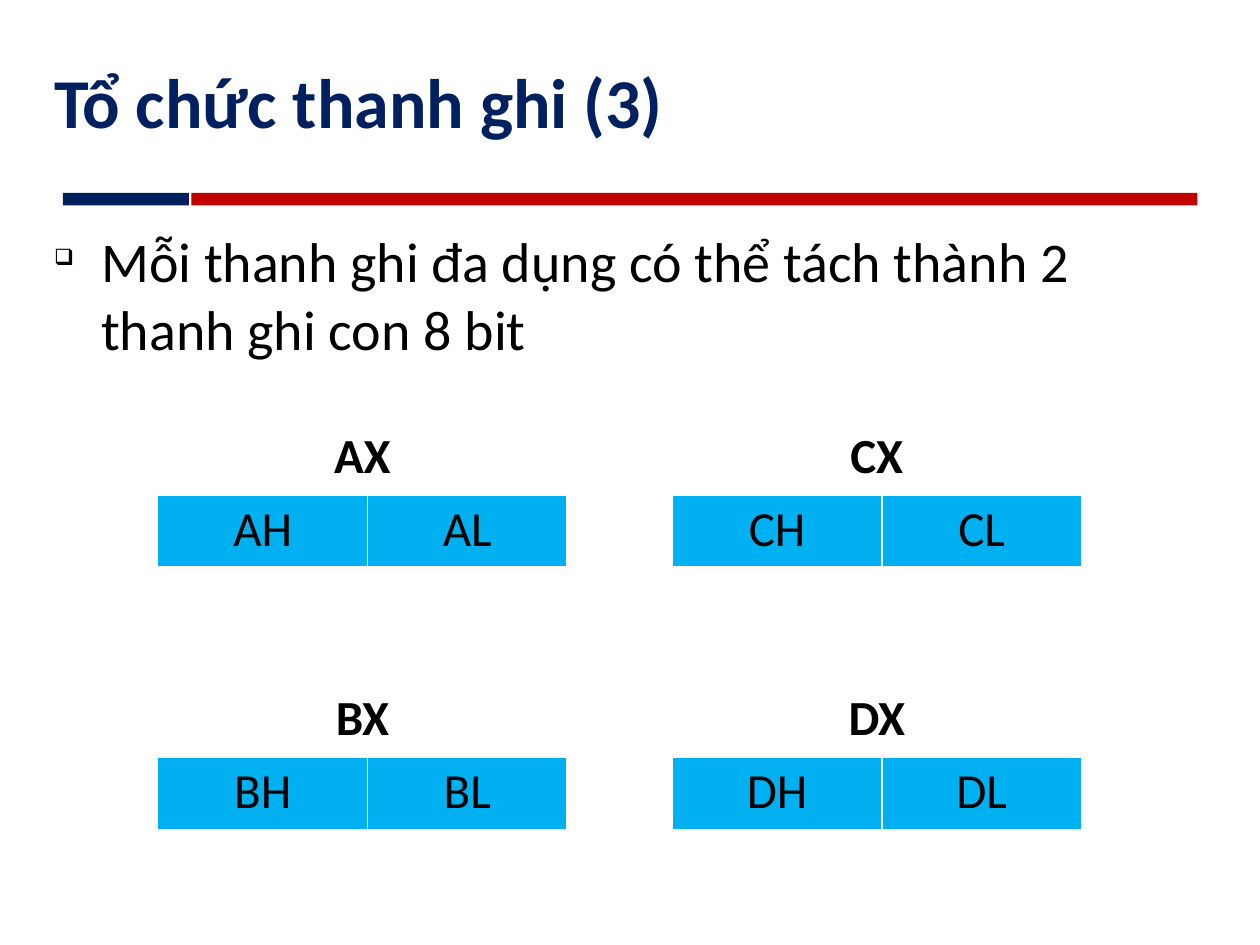
import lxml.etree
import pptx
import pptx.dml.color
import pptx.enum.shapes
import pptx.enum.text
import pptx.oxml.ns
import pptx.util

Cm = pptx.util.Cm
Pt = pptx.util.Pt
qn = pptx.oxml.ns.qn
ALIGN = pptx.enum.text.PP_ALIGN
ANCHOR = pptx.enum.text.MSO_ANCHOR

NAVY, RED, BLUE = "002060", "C00000", "00B0F0"
BLACK, WHITE = "000000", "FFFFFF"


def paint(color, value):
    """Set a fill or font colour from a hex string."""
    color.rgb = pptx.dml.color.RGBColor.from_string(value)


def write(frame, text, size, color=BLACK, bold=False,
          align=ALIGN.LEFT, anchor=ANCHOR.TOP):
    """Put one formatted paragraph in a text frame."""
    frame.word_wrap = True
    frame.vertical_anchor = anchor
    para = frame.paragraphs[0]
    para.alignment = align
    run = para.add_run()
    run.text = text
    run.font.name = "Calibri"
    run.font.size = Pt(size)
    run.font.bold = bold
    paint(run.font.color, color)
    return para


def add_text(slide, box, text, **style):
    frame = slide.shapes.add_textbox(*map(Cm, box)).text_frame
    return write(frame, text, **style)


def add_bar(slide, box, color):
    rect = pptx.enum.shapes.MSO_SHAPE.RECTANGLE
    bar = slide.shapes.add_shape(rect, *map(Cm, box))
    bar.shadow.inherit = False
    bar.fill.solid()
    paint(bar.fill.fore_color, color)
    bar.line.fill.background()


def add_head(slide, box, text):
    """Title with a two-colour rule below it."""
    left, top, wide, high = box
    add_text(slide, box, text, size=40, color=NAVY, bold=True,
             anchor=ANCHOR.MIDDLE)
    rule = top + high + 0.28
    add_bar(slide, (left + 0.43, rule, 2.54, 0.25), NAVY)
    add_bar(slide, (left + 3.02, rule, wide - 3.43, 0.25), RED)


def add_body(slide, box, text):
    """Bulleted text with a hanging indent."""
    para = add_text(slide, box, text, size=32)
    props = para._p.get_or_add_pPr()
    props.set("marL", str(Cm(0.95)))
    props.set("indent", str(-Cm(0.95)))
    lxml.etree.SubElement(props, qn("a:buSzPct")).set("val", "40000")
    lxml.etree.SubElement(props, qn("a:buChar")).set("char", "❑")


def edge(cell, low=1):
    """White borders, the bottom one of the given width in points."""
    props = cell._tc.get_or_add_tcPr()
    for spot, side in enumerate("LRTB"):
        line = lxml.etree.Element(qn("a:ln" + side))
        line.set("w", str(Pt(low if side == "B" else 1)))
        fill = lxml.etree.SubElement(line, qn("a:solidFill"))
        lxml.etree.SubElement(fill, qn("a:srgbClr")).set("val", WHITE)
        props.insert(spot, line)


def add_pair(slide, box, name):
    """Register table: full name above its high and low halves."""
    left, top, wide, high = box
    table = slide.shapes.add_table(2, 2, *map(Cm, box)).table
    table.first_row = table.horz_banding = False
    table.columns[0].width = Cm(4.23)
    table.columns[1].width = Cm(wide - 4.23)
    for row in table.rows:
        row.height = Cm(high / 2)

    style = {"size": 28, "align": ALIGN.CENTER, "anchor": ANCHOR.MIDDLE}
    table.cell(0, 0).merge(table.cell(0, 1))
    write(table.cell(0, 0).text_frame, name + "X", bold=True, **style)
    for col, half in enumerate("HL"):
        top_cell, cell = table.cell(0, col), table.cell(1, col)
        top_cell.fill.background()
        edge(top_cell, low=3)
        write(cell.text_frame, name + half, **style)
        cell.fill.solid()
        paint(cell.fill.fore_color, BLUE)
        edge(cell)


def add_grid(slide, box, names):
    """Register tables in two columns, spread over the box."""
    left, top, wide, high = box
    pair_w, pair_h = 8.25, 2.96
    for i, name in enumerate(names):
        row, col = divmod(i, 2)
        x = left + col * (wide - pair_w)
        y = top + row * (high - pair_h)
        add_pair(slide, (x, y, pair_w, pair_h), name)


def main():
    deck = pptx.Presentation()
    deck.slide_width, deck.slide_height = Cm(25.4), Cm(19.05)
    slide = deck.slides.add_slide(deck.slide_layouts[6])
    add_head(slide, (0.84, 0.43, 23.71, 3.18), "Tổ chức thanh ghi (3)")
    add_body(slide, (0.84, 4.45, 23.71, 14.22),
             "Mỗi thanh ghi đa dụng có thể tách thành 2 "
             "thanh ghi con 8 bit")
    add_grid(slide, (3.18, 8.47, 18.62, 8.25), "ACBD")
    deck.save("out.pptx")


if __name__ == "__main__":
    main()
